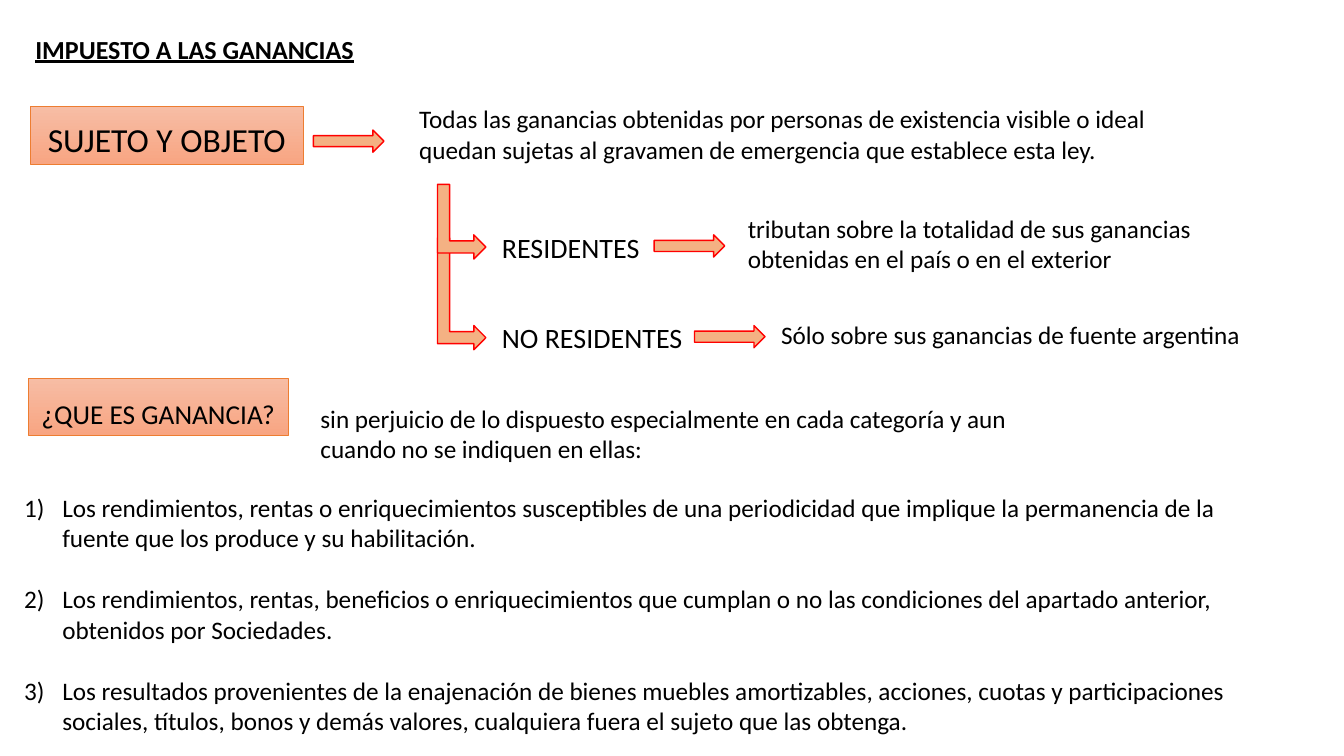
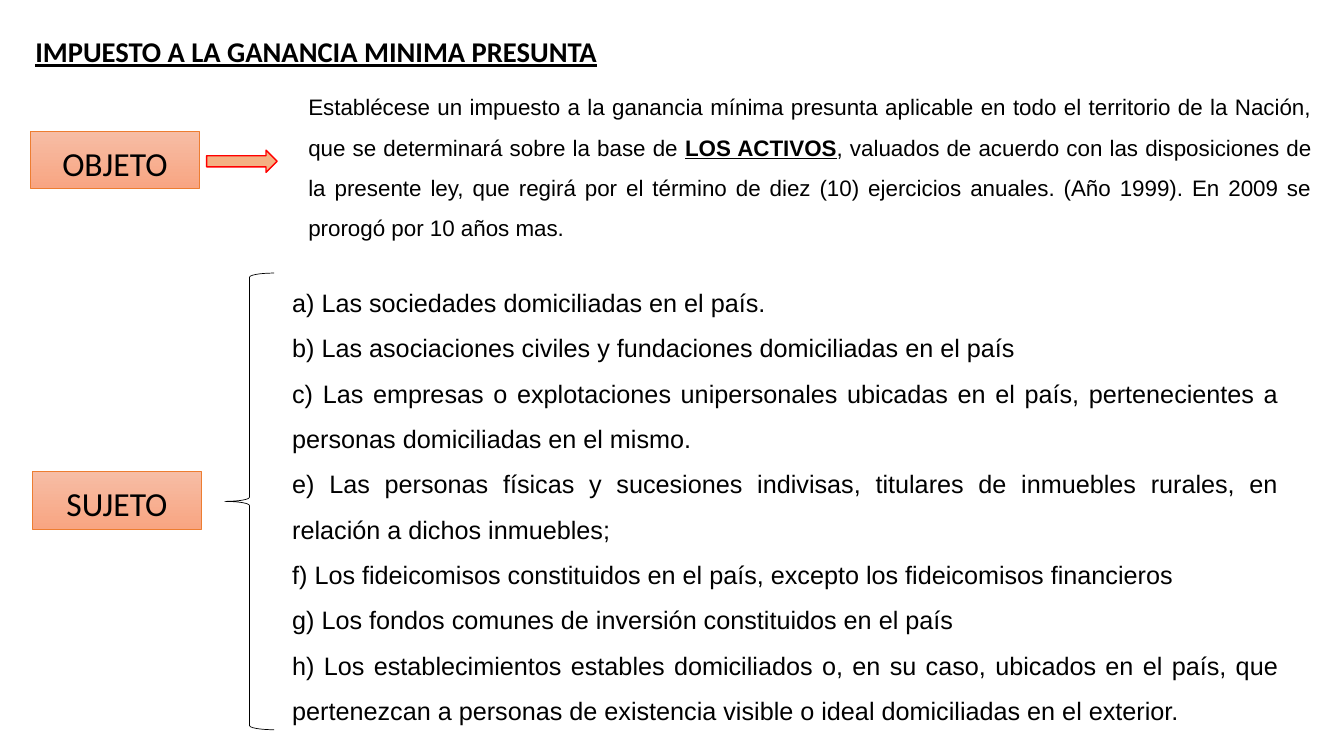
from dataclasses import dataclass

from lxml import etree
from pptx import Presentation
from pptx import util as u
from pptx.dml.color import RGBColor
from pptx.enum import shapes, text
from pptx.oxml.ns import qn

# Shared look; every length is in grid cells of a tenth of an inch
CELL = u.Inches(0.1)
COLUMNS, ROWS = 133.33, 75
COLORS = {
    "ink": "000000",
    "label_top": "F7BDA5",
    "label_bottom": "F8A582",
    "label_line": "ED7D31",
    "arrow": "F4B183",
    "arrow_line": "FF0000",
}
LABEL_ROWS = 5.7
ARROW_COLUMNS, ARROW_ROWS = 7, 2.2
MIDDLE, BOTTOM = text.MSO_ANCHOR.MIDDLE, text.MSO_ANCHOR.BOTTOM
JUSTIFY = text.PP_ALIGN.JUSTIFY


@dataclass
class Box:
    column: float
    row: float
    columns: float
    rows: float

    def inner(self, column, row, columns, rows):
        return Box(self.column + column, self.row + row, columns, rows)

    def emu(self):
        cells = (self.column, self.row, self.columns, self.rows)
        return [round(cell * CELL) for cell in cells]


def rgb(name):
    return RGBColor.from_string(COLORS[name])


def number_paragraph(para, indent=0.38):
    props = para._p.get_or_add_pPr()
    props.set("marL", str(u.Inches(indent)))
    props.set("indent", str(-u.Inches(indent)))
    etree.SubElement(props, qn("a:buFont")).set("typeface", "+mj-lt")
    etree.SubElement(props, qn("a:buAutoNum")).set("type", "arabicParenR")


def write(frame, paragraphs, size=18, font="Calibri", bold=False, underline=False,
          align=text.PP_ALIGN.LEFT, anchor=text.MSO_ANCHOR.TOP, spacing=1.0,
          gap=0, numbered=False):
    """Each paragraph is a string or a list of (words, stressed) spans."""
    frame.word_wrap = True
    frame.auto_size = text.MSO_AUTO_SIZE.NONE
    frame.vertical_anchor = anchor
    for index, content in enumerate(paragraphs):
        para = frame.paragraphs[0] if index == 0 else frame.add_paragraph()
        para.alignment = align
        para.line_spacing = spacing
        para.space_before = u.Pt(gap if index else 0)
        if numbered:
            number_paragraph(para)
        spans = [(content, False)] if isinstance(content, str) else content
        for words, stressed in spans:
            span = para.add_run()
            span.text = words
            span.font.name = font
            span.font.size = u.Pt(size)
            span.font.bold = bold or stressed
            span.font.underline = underline or stressed
            span.font.color.rgb = rgb("ink")


def add_text(page, box, *paragraphs, **style):
    write(page.shapes.add_textbox(*box.emu()).text_frame, paragraphs, **style)


def add_heading(page, box, words, **style):
    title = page.shapes.title
    title.left, title.top, title.width, title.height = box.emu()
    write(title.text_frame, [words], bold=True, underline=True, anchor=MIDDLE, **style)


def add_outlined(page, box, kind, line, width):
    shape = page.shapes.add_shape(kind, *box.emu())
    shape.shadow.inherit = False
    shape.line.color.rgb = rgb(line)
    shape.line.width = u.Pt(width)
    return shape


def add_label(page, box, words, size=24):
    label = add_outlined(page, box, shapes.MSO_SHAPE.RECTANGLE, "label_line", 0.5)
    label.fill.gradient()
    label.fill.gradient_angle = 270
    for stop, name in zip(label.fill.gradient_stops, ("label_top", "label_bottom")):
        stop.color.rgb = rgb(name)
    write(label.text_frame, [words], size=size, align=text.PP_ALIGN.CENTER,
          anchor=BOTTOM, spacing=0.9)


def add_arrow(page, box, kind=shapes.MSO_SHAPE.RIGHT_ARROW):
    arrow = add_outlined(page, box, kind, "arrow_line", 1)
    arrow.fill.solid()
    arrow.fill.fore_color.rgb = rgb("arrow")
    return arrow


def add_elbow(page, box):
    """Arrow that goes down and then right, inside the box."""
    shift = (box.columns - box.rows) / 2
    turned = box.inner(shift, -shift, box.rows, box.columns)
    add_arrow(page, turned, shapes.MSO_SHAPE.BENT_UP_ARROW).rotation = 90


def add_branch(page, box, name, reply, rise, arrow_column, reply_column):
    add_elbow(page, box.inner(0, 3.2 - rise, 4.8, rise))
    add_text(page, box.inner(5.4, 0, arrow_column - 4, box.rows), name,
             size=20, anchor=BOTTOM, spacing=0.9)
    add_arrow(page, box.inner(arrow_column, 0.8, ARROW_COLUMNS, ARROW_ROWS))
    add_text(page, box.inner(reply_column, -1.9, 55.6, 7.1), reply, anchor=MIDDLE)


# Slide 1: who and what is taxed
def add_scope(page, box):
    add_label(page, box.inner(0, 0.8, 27.1, LABEL_ROWS), "SUJETO Y OBJETO")
    add_arrow(page, box.inner(28.1, 3.1, ARROW_COLUMNS, ARROW_ROWS))
    add_text(page, box.inner(37.6, 0, 76.7, 7.1),
             "Todas las ganancias obtenidas por personas de existencia visible o ideal "
             "quedan sujetas al gravamen de emergencia que establece esta ley.")
    # The longer elbow goes behind the shorter one
    branches = [
        (21.7, "NO RESIDENTES", "Sólo sobre sus ganancias de fuente argentina",
         11.1, 25.5, 33.1),
        (12.7, "RESIDENTES", "tributan sobre la totalidad de sus ganancias obtenidas "
         "en el país o en el exterior", 7.4, 21.5, 29.8),
    ]
    for row, *details in branches:
        add_branch(page, box.inner(40.4, row, 89, 4.2), *details)


# Slide 1: what counts as gain
def add_gain(page, box):
    add_label(page, box.inner(1.4, 0, 25.8, LABEL_ROWS), "¿QUE ES GANANCIA?", size=19.5)
    add_text(page, box.inner(29.4, 2, 76.5, 7.1),
             "sin perjuicio de lo dispuesto especialmente en cada categoría y aun "
             "cuando no se indiquen en ellas:")
    add_text(
        page, box.inner(0, 10.8, box.columns, 25.2),
        "Los rendimientos, rentas o enriquecimientos susceptibles de una periodicidad "
        "que implique la permanencia de la fuente que los produce y su habilitación.",
        "Los rendimientos, rentas, beneficios o enriquecimientos que cumplan o no las "
        "condiciones del apartado anterior, obtenidos por Sociedades.",
        "Los resultados provenientes de la enajenación de bienes muebles amortizables, "
        "acciones, cuotas y participaciones sociales, títulos, bonos y demás valores, "
        "cualquiera fuera el sujeto que las obtenga.",
        anchor=MIDDLE, gap=22, numbered=True)


# Slide 2: the object of the tax
def add_object(page, box):
    add_label(page, box.inner(0, 5.4, 16.8, LABEL_ROWS), "OBJETO")
    add_arrow(page, box.inner(17.5, 7.3, ARROW_COLUMNS, ARROW_ROWS))
    add_text(
        page, box.inner(26.6, 0, 101.5, box.rows),
        [("Establécese un impuesto a la ganancia mínima presunta aplicable en todo el "
          "territorio de la Nación, que se determinará sobre la base de ", False),
         ("LOS ACTIVOS", True),
         (", valuados de acuerdo con las disposiciones de la presente ley, que regirá "
          "por el término de diez (10) ejercicios anuales. (Año 1999). En 2009 se "
          "prorogó por 10 años mas.", False)],
        size=16, font="Arial", align=JUSTIFY, anchor=MIDDLE, spacing=1.5)


# Slide 2: the subjects of the tax
def add_subjects(page, box):
    add_label(page, box.inner(0, 20.3, 16.8, LABEL_ROWS), "SUJETO")
    add_text(
        page, box.inner(24.8, 0, 99.8, box.rows),
        "a) Las sociedades domiciliadas en el país.",
        "b) Las asociaciones civiles y fundaciones domiciliadas en el país",
        "c) Las empresas o explotaciones unipersonales ubicadas en el país, "
        "pertenecientes a personas domiciliadas en el mismo.",
        "e) Las personas físicas y sucesiones indivisas, titulares de inmuebles rurales, "
        "en relación a dichos inmuebles;",
        "f) Los fideicomisos constituidos en el país, excepto los fideicomisos financieros",
        "g) Los fondos comunes de inversión constituidos en el país",
        "h) Los establecimientos estables domiciliados o, en su caso, ubicados en el "
        "país, que pertenezcan a personas de existencia visible o ideal domiciliadas en "
        "el exterior.",
        font="Arial", align=JUSTIFY, spacing=1.5)
    brace = add_outlined(page, box.inner(19.1, 0.6, 4.9, 45.3),
                         shapes.MSO_SHAPE.LEFT_BRACE, "ink", 0.5)
    brace.fill.background()


def main():
    deck = Presentation()
    deck.slide_width = round(COLUMNS * CELL)
    deck.slide_height = ROWS * CELL
    title_only = deck.slide_layouts[5]

    income = deck.slides.add_slide(title_only)
    add_heading(income, Box(2.5, 0, 41.2, 8.1), "IMPUESTO A LAS GANANCIAS",
                size=18.6, spacing=1.5)
    add_scope(income, Box(3, 9.8, 126, 26))
    add_gain(income, Box(1.4, 37.5, 126, 36))

    presumed = deck.slides.add_slide(title_only)
    add_heading(presumed, Box(2.5, 0, 67.2, 8.1),
                "IMPUESTO A LA GANANCIA MINIMA PRESUNTA", size=20.4, spacing=1.6)
    add_object(presumed, Box(3, 7.6, 128.1, 16.7))
    add_subjects(presumed, Box(3.2, 26.5, 124.6, 46.4))

    deck.save("out.pptx")


if __name__ == "__main__":
    main()
